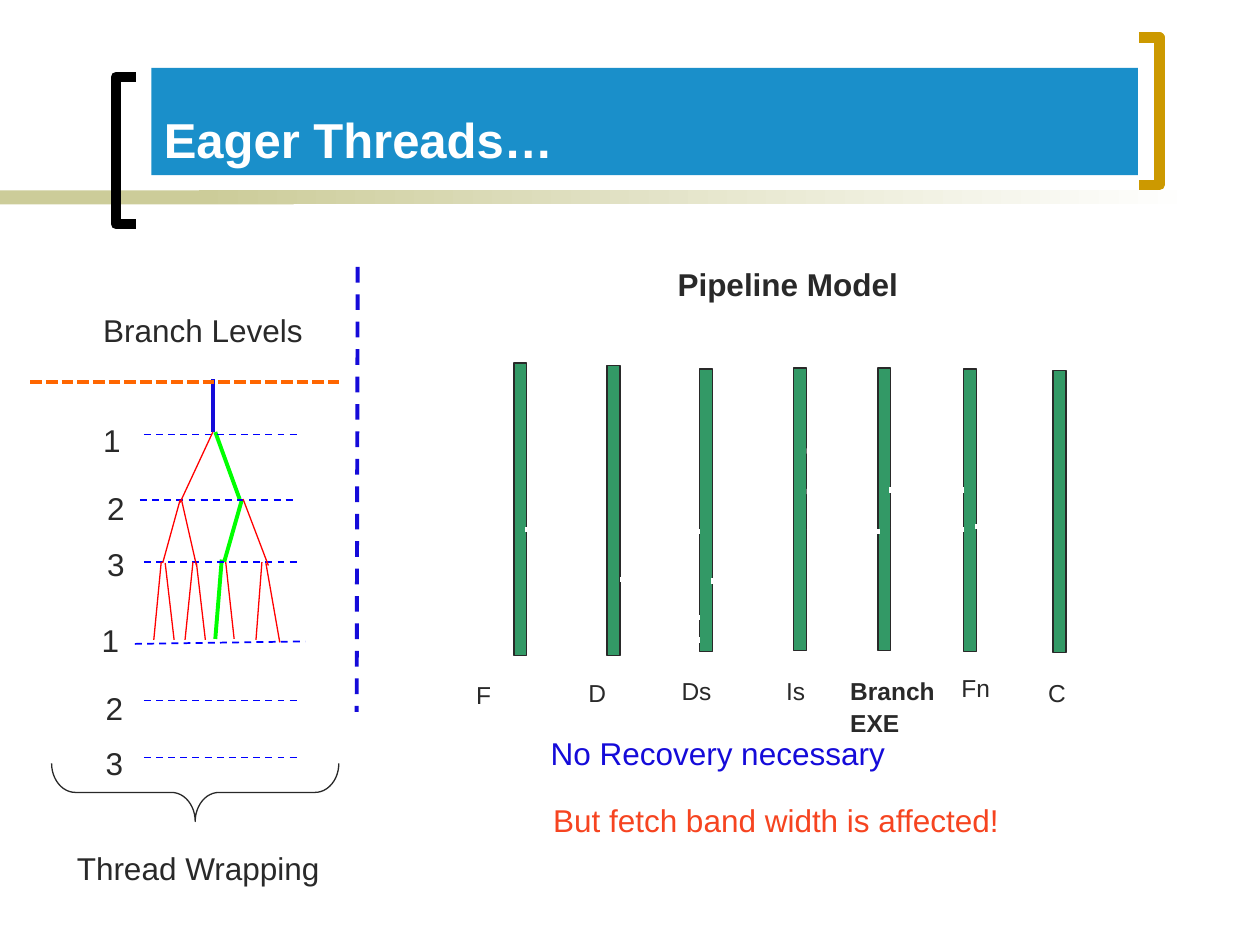
"""Build the "Eager Threads" slide: a branch tree beside a pipeline model."""
from lxml import etree
from pptx import Presentation
from pptx.dml.color import RGBColor
from pptx.enum.dml import MSO_LINE
from pptx.enum.shapes import MSO_CONNECTOR, MSO_SHAPE
from pptx.enum.text import MSO_ANCHOR, PP_ALIGN
from pptx.oxml.ns import qn
from pptx.util import Cm, Pt

STRAIGHT = MSO_CONNECTOR.STRAIGHT
RECTANGLE, BRACE = MSO_SHAPE.RECTANGLE, MSO_SHAPE.RIGHT_BRACE
DASH, DOT = MSO_LINE.DASH, MSO_LINE.SQUARE_DOT
BOTTOM, LEFT = MSO_ANCHOR.BOTTOM, PP_ALIGN.LEFT

THEME = {
    "font": "Arial", "title": 28, "body": 18, "label": 14,
    "white": "FFFFFF", "black": "000000", "ink": "292929",
    "banner": "1A8FCA", "sand": "CCCC99", "gold": "CC9900",
    "blue": "150BD9", "level": "0000FF", "taken": "00FF00",
    "other": "FF0000", "orange": "FF6600", "alert": "F64420", "stage": "339966",
}

TITLE = "Eager Threads…"
BRACKETS = [
    ([(2.74, 4.52), (2.34, 4.52), (2.34, 1.55), (2.74, 1.55)], "black"),
    ([(22.96, 0.76), (23.37, 0.76), (23.37, 3.73), (22.96, 3.73)], "gold"),
]
CAPTIONS = [
    ("Pipeline Model", 13.41, 5.21, 5.44, "ink", True),
    ("Branch Levels", 1.83, 6.15, 5.16, "ink", False),
    ("No Recovery necessary", 10.85, 14.68, 7.62, "blue", False),
    ("But fetch band width is affected!", 10.9, 16.03, 10.19, "alert", False),
    ("Thread Wrapping", 1.3, 16.99, 5.61, "ink", False),
]
LEVELS = [
    ("1", 1.83, 8.36, (2.9, 8.76, 5.99, 8.76)),
    ("2", 1.91, 9.73, (2.82, 10.08, 5.92, 10.08)),
    ("3", 1.91, 10.87, (2.9, 11.33, 5.99, 11.33)),
    ("1", 1.8, 12.4, (2.72, 12.98, 6.15, 12.93)),
    ("2", 1.88, 13.77, (2.9, 14.12, 5.99, 14.12)),
    ("3", 1.88, 14.88, (2.9, 15.27, 5.99, 15.27)),
]
DIVIDER = (7.21, 5.38, 7.19, 14.35)
TRUNK = (4.29, 7.65, 4.29, 8.71)
START = (0.61, 7.7, 6.83, 7.7)
TAKEN = [
    (4.34, 8.71, 4.83, 10.06), (4.88, 10.06, 4.52, 11.33),
    (4.47, 11.28, 4.34, 12.88),
]
OTHERS = [
    (4.29, 8.71, 3.63, 10.13), (4.9, 10.06, 5.41, 11.4),
    (3.63, 10.08, 3.28, 11.35), (3.66, 10.08, 3.96, 11.4),
    (3.25, 11.33, 3.1, 12.9), (3.33, 11.35, 3.51, 12.9),
    (3.89, 11.33, 3.73, 12.9), (3.96, 11.35, 4.14, 12.9),
    (4.55, 11.33, 4.72, 12.88), (5.28, 11.33, 5.16, 12.9),
    (5.36, 11.35, 5.64, 12.95),
]
STAGES = [
    (["F"], (10.36, 7.32, 5.89), (9.35, 13.59, 0.91)),
    (["D"], (12.24, 7.37, 5.84), (11.61, 13.54, 0.91)),
    (["Ds"], (14.1, 7.44, 5.69), (13.49, 13.51, 1.45)),
    (["Is"], (16, 7.42, 5.69), (15.6, 13.51, 1.24)),
    (["Branch", "EXE"], (17.7, 7.42, 5.69), (16.89, 13.51, 2.29)),
    (["Fn"], (19.43, 7.44, 5.69), (19.13, 13.44, 1.42)),
    (["C"], (21.23, 7.47, 5.69), (20.88, 13.54, 1.42)),
]
NOTCHES = [
    (10.59, 10.67, 12.14, 10.67), (12.5, 11.68, 14.05, 11.68),
    (12.55, 10.72, 14.12, 10.72), (12.55, 12.45, 14.12, 12.45),
    (12.55, 12.9, 14.12, 12.9), (14.33, 11.71, 15.85, 11.71),
    (16.26, 9.09, 17.65, 9.04), (16.26, 9.91, 17.65, 9.88),
    (16.26, 10.72, 17.73, 10.72), (17.93, 9.88, 19.43, 9.88),
    (17.96, 10.67, 19.43, 10.67), (19.66, 10.62, 21.21, 10.62),
]


def color(name):
    return RGBColor.from_string(THEME[name])


def style_line(line, name, width, dash=None):
    line.color.rgb = color(name)
    line.width = Pt(width)
    if dash:
        line.dash_style = dash


def style_font(para, size, name, bold=False):
    para.alignment = LEFT
    para.font.name = THEME["font"]
    para.font.size = Pt(THEME[size])
    para.font.bold = bold
    para.font.color.rgb = color(name)


def add_line(page, ends, name, width, dash=None):
    connector = page.shapes.add_connector(STRAIGHT, *map(Cm, ends))
    style_line(connector.line, name, width, dash)
    etree.SubElement(connector._element.spPr, qn("a:effectLst"))


def add_bar(page, left, top, width, height, fill):
    bar = page.shapes.add_shape(RECTANGLE, Cm(left), Cm(top), Cm(width), Cm(height))
    bar.shadow.inherit = False
    bar.fill.solid()
    bar.fill.fore_color.rgb = color(fill)
    bar.line.fill.background()
    return bar


def add_text(page, lines, left, top, width, size, name="ink", bold=False):
    height = 1.02 if size == "body" else 0.86 * len(lines)
    box = page.shapes.add_textbox(Cm(left), Cm(top), Cm(width), Cm(height))
    frame = box.text_frame
    frame.word_wrap = True
    frame.text = "\n".join(lines)
    for para in frame.paragraphs:
        style_font(para, size, name, bold)
    for para in frame.paragraphs[1:]:
        para.space_before = Pt(8.8)
        para.line_spacing = 0.5


def add_header(page):
    add_bar(page, 0, 3.84, 5.92, 0.28, "sand")
    fade = add_bar(page, 4.01, 3.84, 20.12, 0.28, "sand")
    fade.fill.gradient()
    fade.fill.gradient_angle = 0
    for stop, name in zip(fade.fill.gradient_stops, ("sand", "white")):
        stop.color.rgb = color(name)
    for points, name in BRACKETS:
        start, *rest = [(Cm(x), Cm(y)) for x, y in points]
        builder = page.shapes.build_freeform(*start)
        builder.add_line_segments(rest, close=False)
        bracket = builder.convert_to_shape()
        bracket.shadow.inherit = False
        bracket.fill.background()
        style_line(bracket.line, name, 6)
    title = page.shapes.title
    title.left, title.top, title.width, title.height = map(Cm, (3.05, 1.37, 19.89, 2.16))
    title.fill.solid()
    title.fill.fore_color.rgb = color("banner")
    title.text_frame.text = TITLE
    title.text_frame.vertical_anchor = BOTTOM
    style_font(title.text_frame.paragraphs[0], "title", "white", True)


def add_tree(page):
    add_line(page, DIVIDER, "blue", 2.25, DASH)
    add_line(page, TRUNK, "blue", 2.25)
    for ends in TAKEN:
        add_line(page, ends, "taken", 2.25)
    for text, left, top, ends in LEVELS:
        add_line(page, ends, "level", 1, DASH)
        add_text(page, [text], left, top, 0.91, "body")
    for ends in OTHERS:
        add_line(page, ends, "other", 0.75)
    add_line(page, START, "orange", 2.25, DOT)
    brace = page.shapes.add_shape(BRACE, Cm(3.35), Cm(13.08), Cm(1.17), Cm(5.79))
    brace.rotation = 90
    brace.adjustments[0] = 0.41
    brace.shadow.inherit = False
    brace.fill.background()
    style_line(brace.line, "ink", 0.75)


def add_pipeline(page):
    for lines, (left, top, height), label in STAGES:
        bar = add_bar(page, left, top, 0.26, height, "stage")
        style_line(bar.line, "ink", 0.75)
        add_text(page, lines, *label, "label", bold=len(lines) > 1)
    for ends in NOTCHES:
        add_line(page, ends, "white", 3)


def main():
    deck = Presentation()
    deck.slide_width, deck.slide_height = Cm(25.4), Cm(19.05)
    page = deck.slides.add_slide(deck.slide_layouts[5])
    add_header(page)
    add_tree(page)
    add_pipeline(page)
    for text, left, top, width, name, bold in CAPTIONS:
        add_text(page, [text], left, top, width, "body", name, bold)
    deck.save("out.pptx")


if __name__ == "__main__":
    main()
